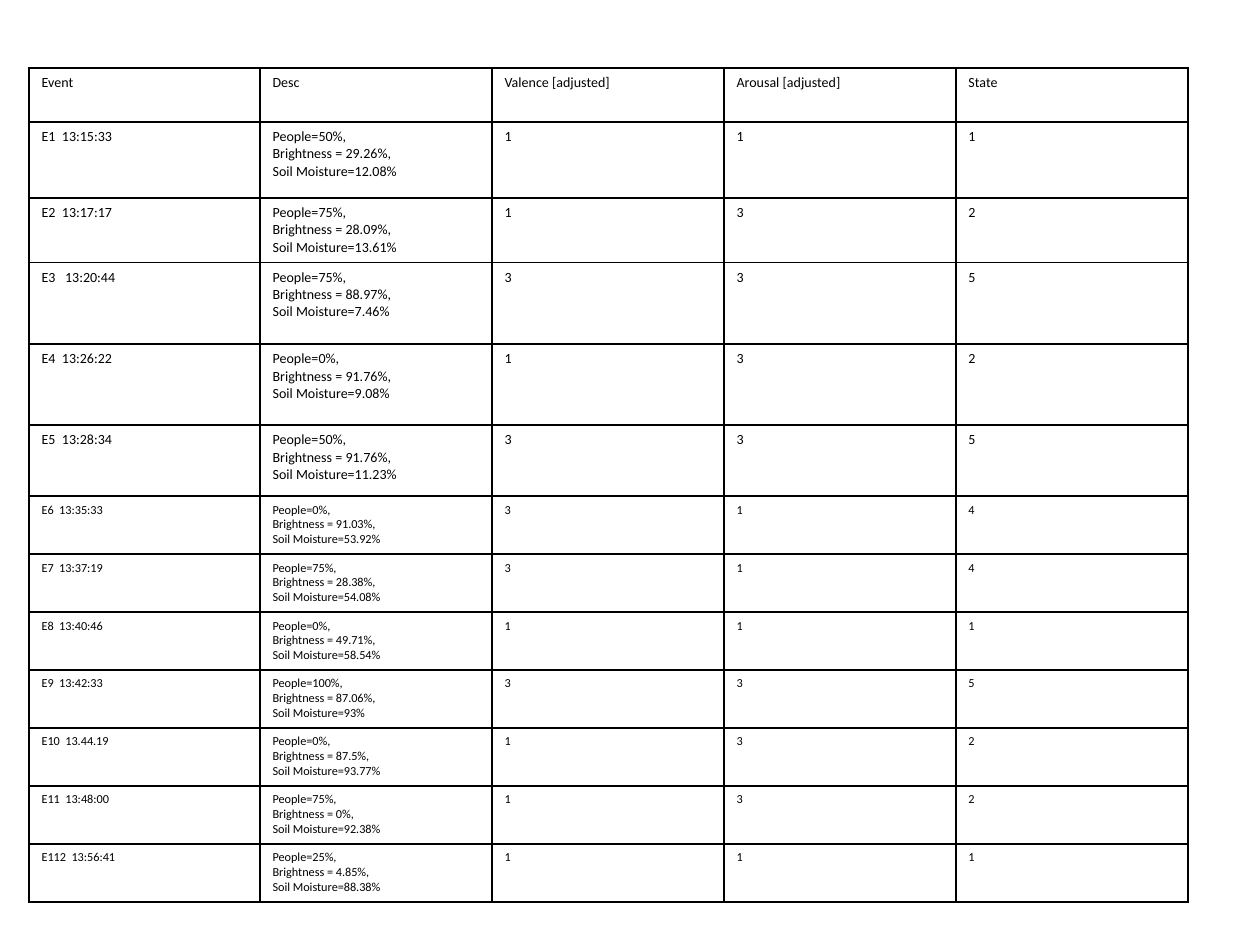
from lxml.etree import SubElement
from pptx import Presentation
from pptx.dml.color import RGBColor
from pptx.oxml.ns import qn
from pptx.util import Pt

PX = 914400 // 126  # EMU per pixel
BLACK = RGBColor(0, 0, 0)

HEADER = ["Event", "Desc", "Valence [adjusted]", "Arousal [adjusted]", "State"]
# event, people, brightness, soil moisture, valence, arousal, state
EVENTS = [
    ("E1  13:15:33", "50%", "29.26%", "12.08%", 1, 1, 1),
    ("E2  13:17:17", "75%", "28.09%", "13.61%", 1, 3, 2),
    ("E3   13:20:44", "75%", "88.97%", "7.46%", 3, 3, 5),
    ("E4  13:26:22", "0%", "91.76%", "9.08%", 1, 3, 2),
    ("E5  13:28:34", "50%", "91.76%", "11.23%", 3, 3, 5),
    ("E6  13:35:33", "0%", "91.03%", "53.92%", 3, 1, 4),
    ("E7  13:37:19", "75%", "28.38%", "54.08%", 3, 1, 4),
    ("E8  13:40:46", "0%", "49.71%", "58.54%", 1, 1, 1),
    ("E9  13:42:33", "100%", "87.06%", "93%", 3, 3, 5),
    ("E10  13.44.19", "0%", "87.5%", "93.77%", 1, 3, 2),
    ("E11  13:48:00", "75%", "0%", "92.38%", 1, 3, 2),
    ("E112  13:56:41", "25%", "4.85%", "88.38%", 1, 1, 1),
]
COLUMN_WIDTHS = [231] + [232] * 4
ROW_HEIGHTS = [54, 76, 64, 82, 81, 71] + [58] * 7
LARGE_TEXT_ROWS = 6  # header and first five events


def add_borders(cell):
    properties = cell._tc.get_or_add_tcPr()
    for side in ("a:lnL", "a:lnR", "a:lnT", "a:lnB"):
        line = SubElement(properties, qn(side), w=str(Pt(1)))
        fill = SubElement(line, qn("a:solidFill"))
        SubElement(fill, qn("a:srgbClr"), val=str(BLACK))


presentation = Presentation()
presentation.slide_width = 1260 * PX
presentation.slide_height = 945 * PX
slide = presentation.slides.add_slide(presentation.slide_layouts[6])

# Each cell is a list of text lines
rows = [[[label] for label in HEADER]]
for event, people, brightness, moisture, *scores in EVENTS:
    description = [
        f"People={people},",
        f"Brightness = {brightness},",
        f"Soil Moisture={moisture}",
    ]
    rows.append([[event], description] + [[str(score)] for score in scores])

# Table grid
table = slide.shapes.add_table(
    len(rows), len(HEADER), 29 * PX, 68 * PX,
    sum(COLUMN_WIDTHS) * PX, sum(ROW_HEIGHTS) * PX,
).table
table.first_row = False
table.horz_banding = False
for column, width in zip(table.columns, COLUMN_WIDTHS):
    column.width = width * PX
for row, height in zip(table.rows, ROW_HEIGHTS):
    row.height = height * PX

# Cell text, fill and borders
for row_index, row in enumerate(rows):
    size = Pt(8 if row_index < LARGE_TEXT_ROWS else 7)
    for column_index, lines in enumerate(row):
        cell = table.cell(row_index, column_index)
        add_borders(cell)
        cell.fill.background()
        for line_index, line in enumerate(lines):
            frame = cell.text_frame
            paragraph = frame.add_paragraph() if line_index else frame.paragraphs[0]
            run = paragraph.add_run()
            run.text = line
            run.font.name = "Calibri"
            run.font.size = size
            run.font.color.rgb = BLACK

presentation.save("out.pptx")
